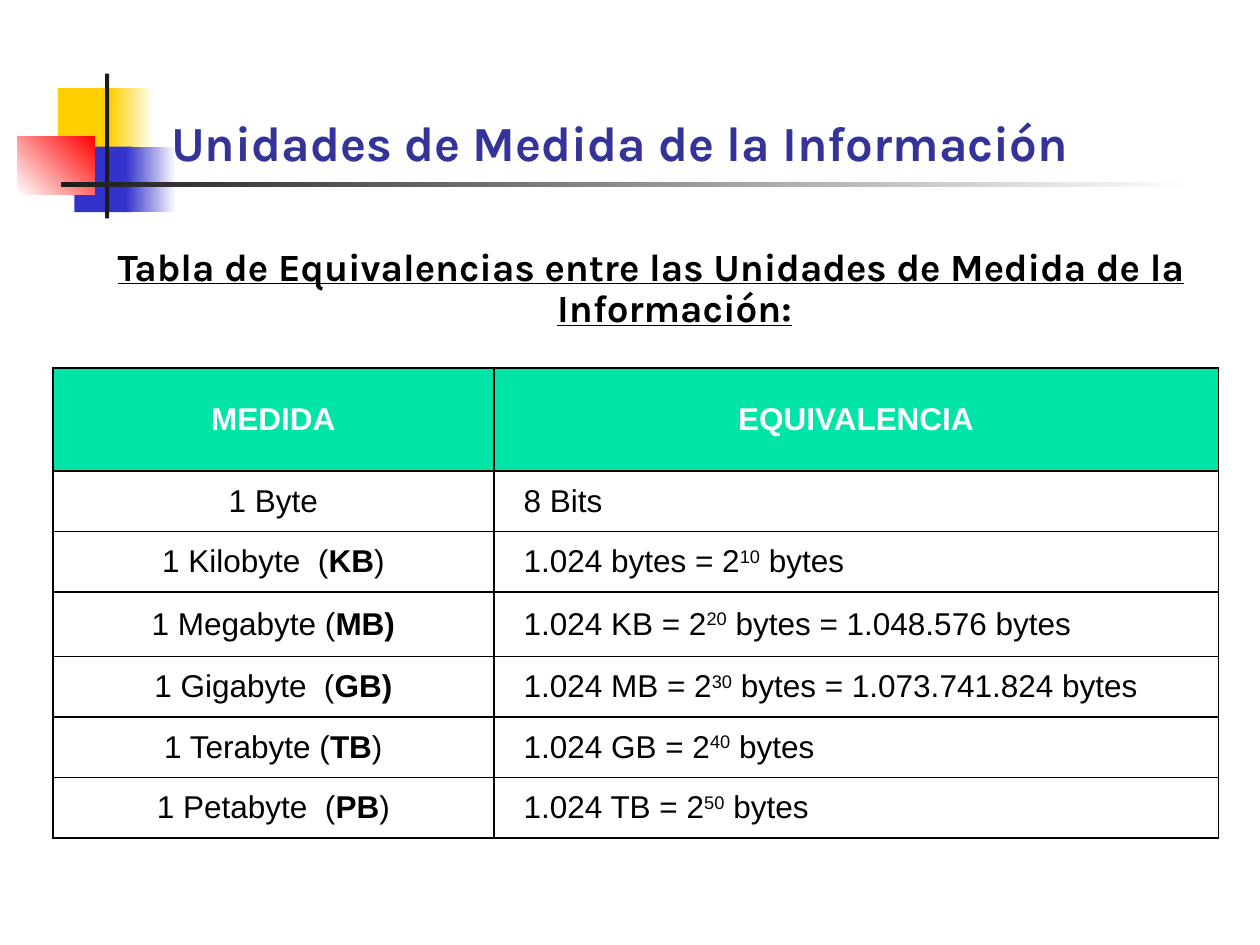
"""Build a slide with a table of equivalences between units of information."""
import pptx
import pptx.util
import pptx.dml.color
import pptx.enum.shapes
import pptx.enum.text
import pptx.oxml
import pptx.oxml.ns

Pt = pptx.util.Pt
Align = pptx.enum.text.PP_ALIGN
Anchor = pptx.enum.text.MSO_ANCHOR
hues = {"gold": "FFCF01", "blue": "3333CC", "red": "FF0000", "dark": "1C1C1C",
        "white": "FFFFFF", "navy": "333399", "black": "000000", "green": "00E4A8"}


def color(name):
    return pptx.dml.color.RGBColor.from_string(hues[name])


def style(para, face, size, hue, bold, align):
    para.font.name = face
    para.font.size = Pt(size)
    para.font.color.rgb = color(hue)
    para.font.bold = bold
    para.alignment = align


deck = pptx.Presentation()
deck.slide_width, deck.slide_height = Pt(720), Pt(540)
slide = deck.slides.add_slide(deck.slide_layouts[6])
shapes = slide.shapes

blocks = [
    (33.1, 50.4, 34.6, 37.4, ["gold"], 0),
    (62.6, 50.4, 25.9, 37.4, ["gold", "white"], 0),
    (42.5, 83.8, 33.1, 37.4, ["blue"], 0),
    (72, 83.8, 28.8, 37.4, ["blue", "white"], 0),
    (10, 77.8, 44.3, 33.4, ["white", "red"], 45),
    (60, 42, 2.4, 82.8, ["dark"], 0),
    (34.6, 104.2, 648, 2.4, ["dark", "white"], 0),
]
for left, top, wide, high, tones, angle in blocks:
    block = shapes.add_shape(pptx.enum.shapes.MSO_SHAPE.RECTANGLE,
                             Pt(left), Pt(top), Pt(wide), Pt(high))
    block.shadow.inherit = False
    block.line.fill.background()
    if len(tones) == 1:
        block.fill.solid()
        block.fill.fore_color.rgb = color(tones[0])
    else:
        block.fill.gradient()
        block.fill.gradient_angle = angle
        for stop, tone, place in zip(block.fill.gradient_stops, tones, (0, 1)):
            stop.color.rgb = color(tone)
            stop.position = place

heads = [
    ("Unidades de Medida de la Información", 90.7, 16.6, 613.4, 84.9,
     28, "navy", Align.JUSTIFY, Anchor.BOTTOM),
    ("Tabla de Equivalencias entre las Unidades de Medida de la Información:",
     54, 138.2, 635.8, 54, 22, "black", Align.CENTER, Anchor.TOP),
]
for text, left, top, wide, high, size, hue, align, anchor in heads:
    frame = shapes.add_textbox(Pt(left), Pt(top), Pt(wide), Pt(high)).text_frame
    frame.word_wrap = True
    frame.vertical_anchor = anchor
    para = frame.paragraphs[0]
    para.text = text
    style(para, "Karla", size, hue, True, align)
para.font.underline = True
para.line_spacing = 0.9
para._p.get_or_add_pPr().set("marL", str(Pt(27)))
para._p.get_or_add_pPr().set("indent", str(Pt(-27)))

rows = [
    ("MEDIDA", "EQUIVALENCIA"),
    ("1 Byte", "8 Bits"),
    ("1 Kilobyte  (|KB|)", "1.024 bytes = 2|10| bytes"),
    ("1 Megabyte (|MB)", "1.024 KB = 2|20| bytes = 1.048.576 bytes"),
    ("1 Gigabyte  (|GB)", "1.024 MB = 2|30| bytes = 1.073.741.824 bytes"),
    ("1 Terabyte (|TB|)", "1.024 GB = 2|40| bytes"),
    ("1 Petabyte  (|PB|)", "1.024 TB = 2|50| bytes"),
]
highs = [59, 34.6, 34.6, 36.7, 34.6, 34.6, 34.6]
table = shapes.add_table(len(rows), 2, Pt(30.2), Pt(210.2), Pt(666), Pt(sum(highs))).table
table.columns[0].width, table.columns[1].width = Pt(252), Pt(414)
for i, (row, high) in enumerate(zip(rows, highs)):
    table.rows[i].height = Pt(high)
    for j, text in enumerate(row):
        cell = table.cell(i, j)
        cell.vertical_anchor = Anchor.MIDDLE
        props = cell._tc.get_or_add_tcPr()
        for side in "LRTB":
            props.append(pptx.oxml.parse_xml(
                f'<a:ln{side} {pptx.oxml.ns.nsdecls("a")} w="{Pt(1)}"><a:solidFill>'
                f'<a:srgbClr val="{hues["black"]}"/></a:solidFill></a:ln{side}>'))
        para = cell.text_frame.paragraphs[0]
        for k, part in enumerate(text.split("|")):
            run = para.add_run()
            run.text = part
            if k == 1 and j == 0:
                run.font.bold = True
            elif k == 1:
                run._r.get_or_add_rPr().set("baseline", "30000")
        if i == 0:
            cell.fill.solid()
            cell.fill.fore_color.rgb = color("green")
            style(para, "Arial", 18, "white", True, Align.CENTER)
        else:
            cell.fill.background()
            style(para, "Arial", 18, "black", False, Align.LEFT if j else Align.CENTER)
            if j:
                cell.margin_left = Pt(17)

deck.save("out.pptx")
